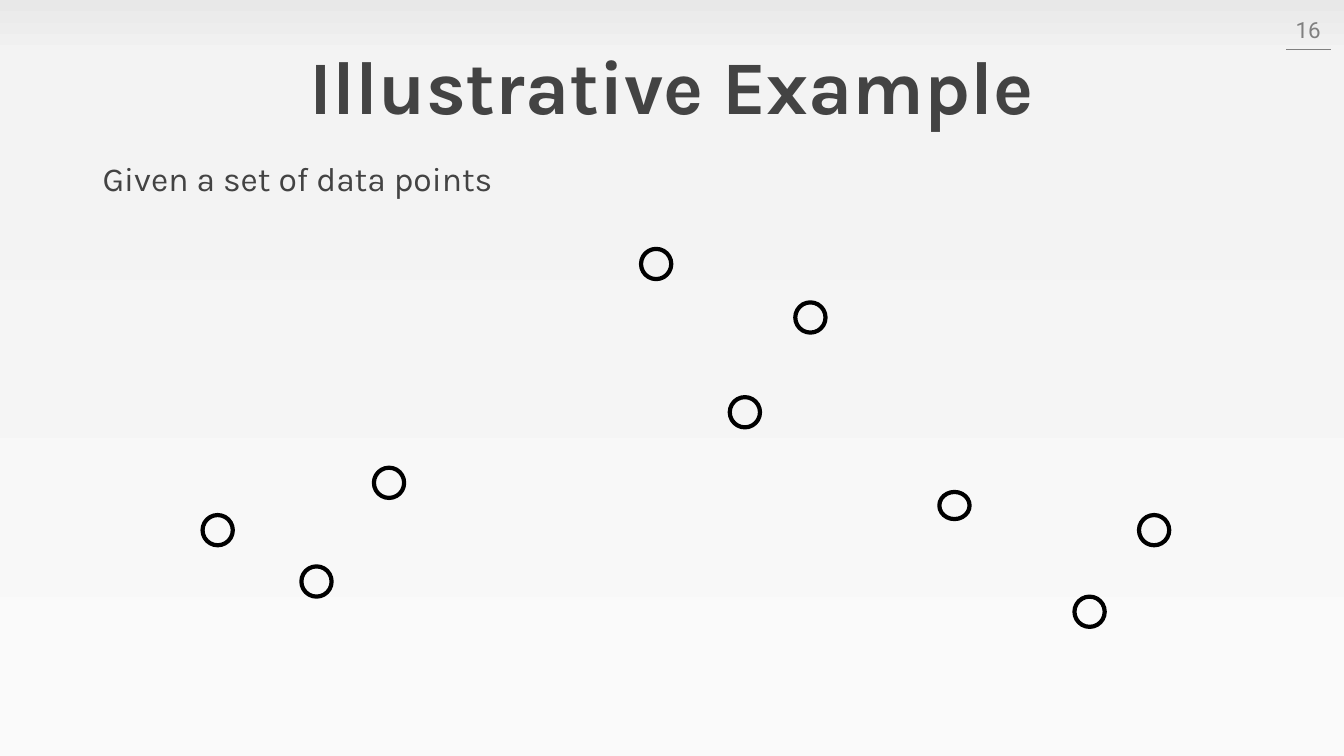
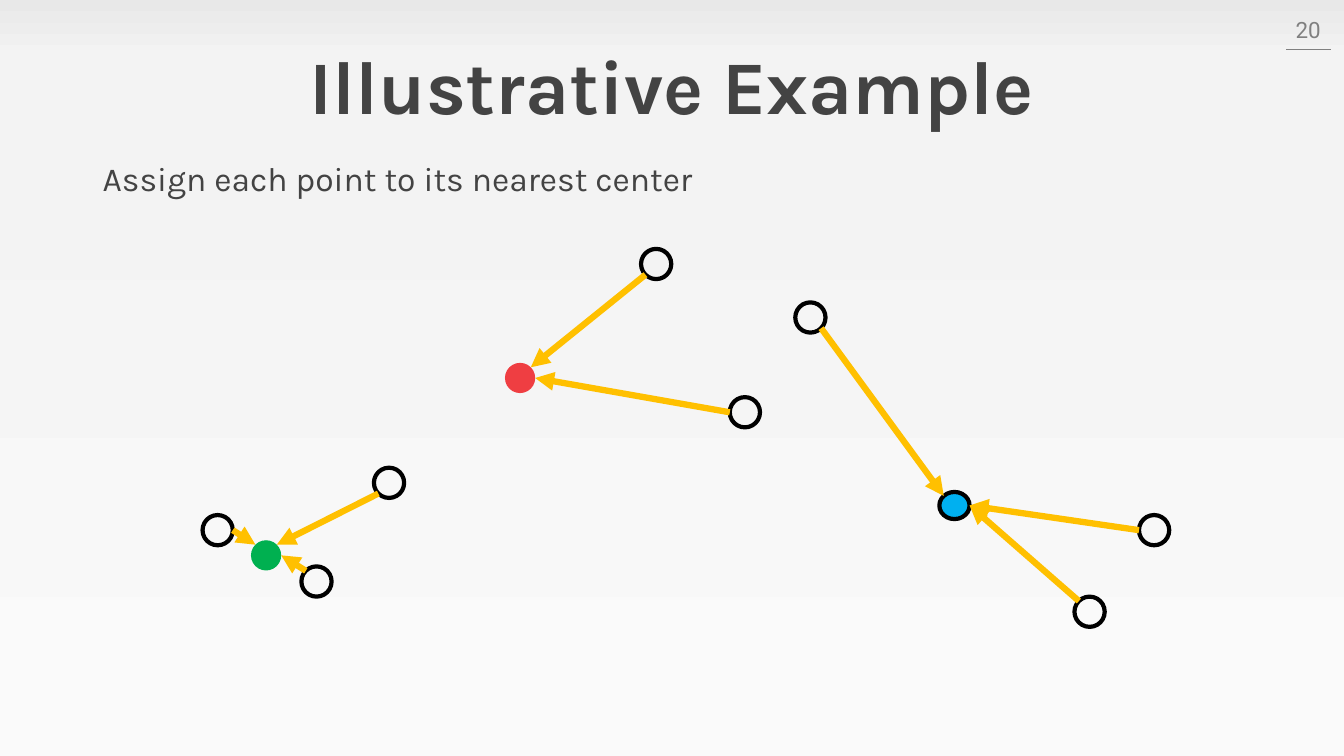
import math

from lxml import etree
from pptx import Presentation
from pptx.dml.color import RGBColor
from pptx.enum.shapes import MSO_CONNECTOR, MSO_SHAPE
from pptx.enum.text import MSO_ANCHOR, PP_ALIGN
from pptx.oxml import parse_xml
from pptx.oxml.ns import nsdecls, qn
from pptx.util import Pt

OVAL = MSO_SHAPE.OVAL
STRAIGHT = MSO_CONNECTOR.STRAIGHT
TOP, MIDDLE = MSO_ANCHOR.TOP, MSO_ANCHOR.MIDDLE
LEFT, CENTER, RIGHT = PP_ALIGN.LEFT, PP_ALIGN.CENTER, PP_ALIGN.RIGHT

WIDE, HIGH = 960, 540
DOT = 21.6
INK, GRAY, BLACK, GOLD = "434343", "808080", "000000", "FFC000"
RED, GREEN, BLUE = "EF3E42", "00B050", "00B0F0"
STOPS = [(0, "FAFAFA"), (84, "F3F3F3"), (94, "F0F0F0"), (100, "E8E8E8")]

# Left and top of each data point, then the height where it is not round
POINTS = {
    "west": (144.7, 367.9),
    "south": (215.3, 404.6),
    "east": (267.1, 334.1),
    "peak": (457.9, 177.8),
    "mid": (521.3, 283.7),
    "high": (568.1, 216),
    "hub": (671, 351.4, 19.4),
    "low": (767.5, 426.2),
    "far": (813.6, 367.9),
}
CENTERS = {"red": (360.7, 259.2, RED), "green": (179.3, 385.9, GREEN)}

# Directions on a dot's rim, in degrees clockwise from the right
E, SE, SW, W, NW, NE = 0, 45, 135, 180, 225, 315
LINKS = [
    ("peak", SW, "red", NE),
    ("mid", W, "red", E),
    ("west", E, "green", NW),
    ("south", NW, "green", E),
    ("east", SW, "green", NE),
    ("high", SE, "hub", NW),
    ("low", NW, "hub", E),
    ("far", W, "hub", E),
]


def color(code):
    return RGBColor.from_string(code)


def rim(dot, angle):
    """Return the place on the dot's outline, in points."""
    turn = math.radians(angle)
    wide, high = dot.width.pt / 2, dot.height.pt / 2
    return (dot.left.pt + wide * (1 + math.cos(turn)),
            dot.top.pt + high * (1 + math.sin(turn)))


class Deck:
    def __init__(self):
        self.prs = Presentation()
        self.prs.slide_width, self.prs.slide_height = Pt(WIDE), Pt(HIGH)
        self.slide = None

    def page(self, number, note):
        """Start a slide with backdrop, title, page number and one sentence."""
        self.slide = self.prs.slides.add_slide(self.prs.slide_layouts[6])
        self.backdrop()
        self.line((918.7, 35.3), (950.4, 35.3), GRAY, 1)
        self.text("Illustrative Example", (0, 20.9, WIDE, 86.4), 54,
                  align=CENTER, anchor=MIDDLE, bold=True, space=0.9)
        self.text(str(number), (910.1, 6.5, 40.3, 28.8), 16, "Roboto", GRAY,
                  align=RIGHT, anchor=MIDDLE)
        self.text(note, (66.2, 112.3, 627.1, 33.1), 24, space=0.9)

    def backdrop(self):
        stops = "".join(
            f'<a:gs pos="{spot * 1000}"><a:srgbClr val="{code}"/></a:gs>'
            for spot, code in STOPS)
        self.slide.element.cSld.insert(0, parse_xml(
            f'<p:bg {nsdecls("p", "a")}><p:bgPr><a:gradFill rotWithShape="1">'
            f'<a:gsLst>{stops}</a:gsLst><a:lin ang="16200000" scaled="0"/>'
            '</a:gradFill><a:effectLst/></p:bgPr></p:bg>'))

    def text(self, words, area, size, font="Karla", ink=INK, align=LEFT,
             anchor=TOP, bold=False, space=1.0):
        box = self.slide.shapes.add_textbox(*map(Pt, area))
        frame = box.text_frame
        frame.word_wrap = True
        frame.vertical_anchor = anchor
        frame.text = words
        para = frame.paragraphs[0]
        para.alignment, para.line_spacing = align, space
        style = para.runs[0].font
        style.name, style.size, style.bold = font, Pt(size), bold
        style.color.rgb = color(ink)

    def dot(self, left, top, high=DOT, fill=None, edge=BLACK):
        shape = self.slide.shapes.add_shape(
            OVAL, Pt(left), Pt(top), Pt(DOT), Pt(high))
        shape.shadow.inherit = False
        if fill:
            shape.fill.solid()
            shape.fill.fore_color.rgb = color(fill)
        else:
            shape.fill.background()
        if edge:
            shape.line.color.rgb = color(edge)
            shape.line.width = Pt(3)
        else:
            shape.line.fill.background()
        return shape

    def line(self, start, end, ink, width, arrow=False):
        link = self.slide.shapes.add_connector(
            STRAIGHT, *map(Pt, (*start, *end)))
        link.line.color.rgb = color(ink)
        link.line.width = Pt(width)
        props = link.element.spPr
        if arrow:
            etree.SubElement(props.find(qn("a:ln")), qn("a:tailEnd"),
                             type="triangle")
        etree.SubElement(props, qn("a:effectLst"))

    def points(self, fills):
        """Draw all data points and return them by name."""
        return {name: self.dot(*place, fill=fills.get(name))
                for name, place in POINTS.items()}


def main():
    deck = Deck()
    deck.page(16, "Given a set of data points")
    deck.points({})

    deck.page(20, "Assign each point to its nearest center")
    dots = deck.points({"hub": BLUE})
    for name, (left, top, fill) in CENTERS.items():
        dots[name] = deck.dot(left, top, fill=fill, edge=None)
    for start, out, end, into in LINKS:
        deck.line(rim(dots[start], out), rim(dots[end], into), GOLD, 4.5,
                  arrow=True)
    deck.prs.save("out.pptx")


if __name__ == "__main__":
    main()
